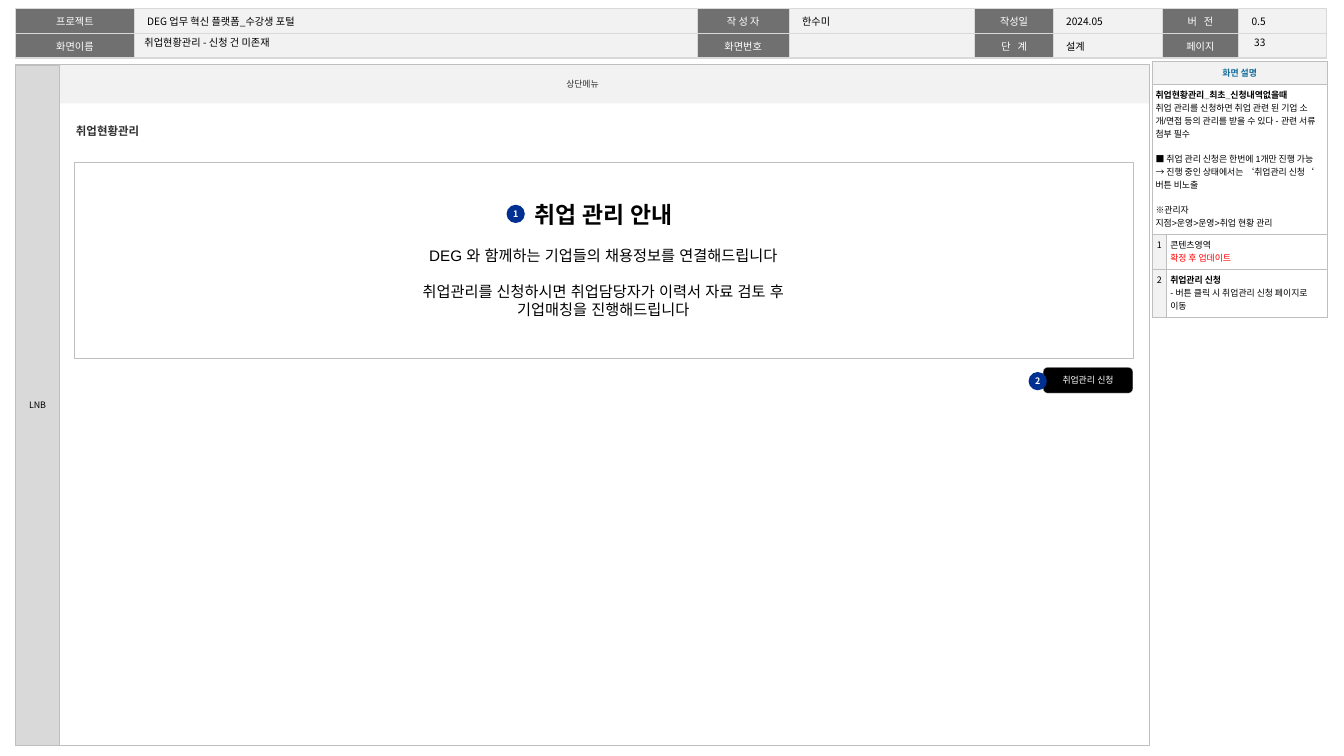
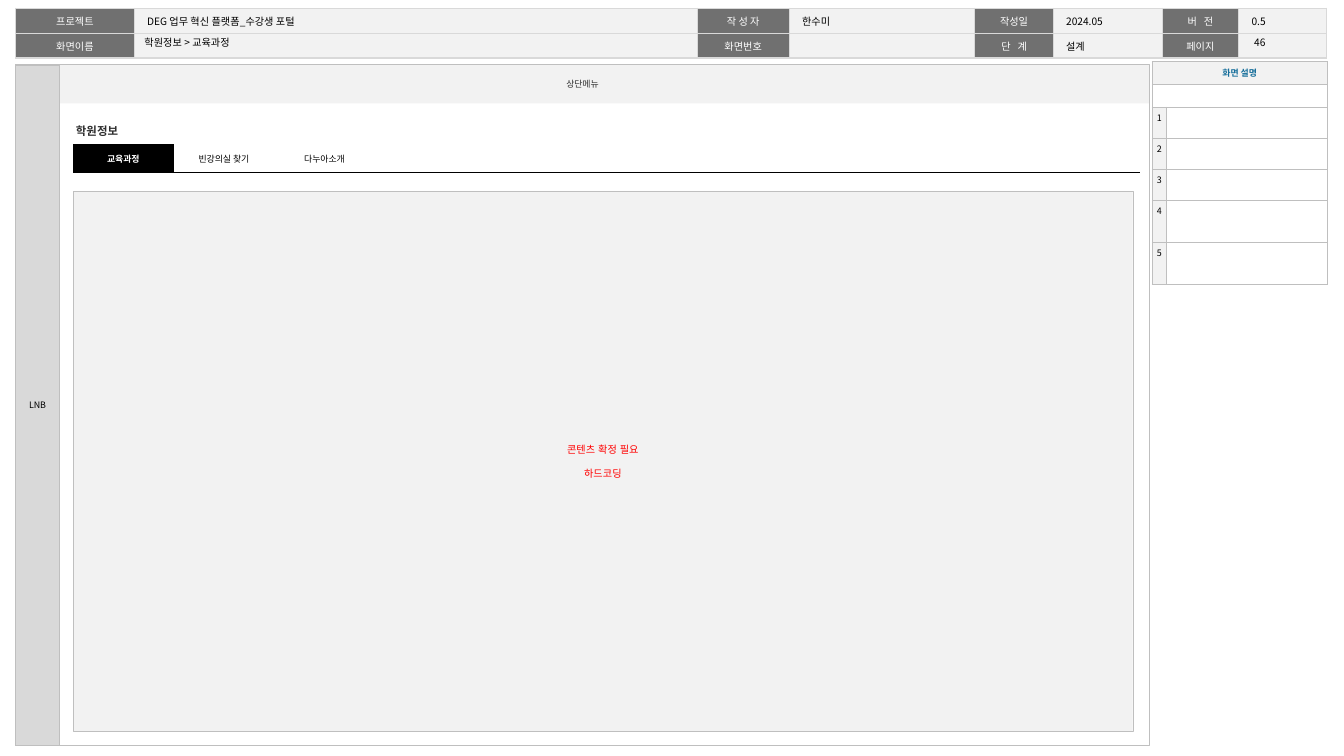
from dataclasses import dataclass, replace
from itertools import accumulate

from lxml import etree
from pptx import Presentation
from pptx import util as u
from pptx.dml.color import RGBColor
from pptx.enum import shapes, text
from pptx.oxml.ns import qn

SLIDE_WIDTH, SLIDE_HEIGHT = 14.7, 8.27
SANS, CJK = "Arial", "Noto Sans CJK KR"
CENTER, LEFT = text.PP_ALIGN.CENTER, text.PP_ALIGN.LEFT
TOP, MIDDLE = text.MSO_ANCHOR.TOP, text.MSO_ANCHOR.MIDDLE
KIND = shapes.MSO_SHAPE
COLORS = {
    "black": "000000", "white": "FFFFFF", "ink": "2E2E2E", "label": "707070",
    "panel": "F2F2F2", "side": "D9D9D9", "grid": "BFBFBF", "accent": "176F9B",
    "badge": "003192", "alert": "FF0000",
}


@dataclass(frozen=True)
class Area:
    """Left, top, width and height as percentages of the slide."""
    left: float
    top: float
    width: float
    height: float

    def emu(self) -> tuple[int, int, int, int]:
        across, down = SLIDE_WIDTH / 100, SLIDE_HEIGHT / 100
        return (u.Inches(self.left * across), u.Inches(self.top * down),
                u.Inches(self.width * across), u.Inches(self.height * down))


@dataclass(frozen=True)
class Style:
    size: float = 7
    color: str = "black"
    latin: str = CJK
    asian: str = CJK
    bold: bool = False
    align: text.PP_ALIGN = LEFT
    line: float = 1
    spread: int = 0


@dataclass(frozen=True)
class Line:
    words: str
    style: Style
    before: float = 0


@dataclass(frozen=True)
class Cell:
    lines: tuple[Line, ...] = ()
    fill: str = "white"
    anchor: text.MSO_ANCHOR = TOP
    span: int = 1


@dataclass(frozen=True)
class Grid:
    area: Area
    columns: tuple[float, ...]
    rows: tuple[float, ...]
    insets: tuple[float, float]
    border: str
    border_width: float
    sides: str = "LRTB"


@dataclass(frozen=True)
class Block:
    area: Area
    kind: KIND = KIND.RECTANGLE
    fill: str | None = None
    border: str | None = None
    border_width: float = 0.25
    lines: tuple[Line, ...] = ()


@dataclass(frozen=True)
class Screen:
    title: str
    page: str
    heading: str
    note_rows: tuple[float, ...]
    notes: tuple[tuple[Cell, ...], ...]
    blocks: tuple[Block, ...]
    tabs: tuple[str, ...] = ()


HEADER = Style(8, line=1.05)
LABEL = replace(HEADER, color="white", align=CENTER)
PLAIN = Style(8)
NOTE = Style(latin=SANS)
NOTE_BOLD = replace(NOTE, bold=True)
NUMBER = Style(align=CENTER)
NOTE_HEAD = Style(color="accent", bold=True, align=CENTER)
HEADING = Style(9, "ink", SANS, SANS, True, line=1.5)
MENU = Style(7, "ink", SANS, SANS, align=CENTER)
BUTTON = replace(MENU, color="white")
BADGE = Style(color="white", bold=True, align=CENTER)
GUIDE = Style(12, "black", SANS, SANS, align=CENTER)
GUIDE_TITLE = replace(GUIDE, size=18, bold=True)
PENDING = Style(8, "alert", SANS, SANS, align=CENTER)
TAB = Style(latin=SANS, align=CENTER)
TAB_ACTIVE = replace(TAB, color="white", bold=True)

FRAME = Area(1.16, 8.59, 84.35, 89.96)
TITLE_AREA = Area(10, 4.59, 40.2, 1.93)
PAGE_AREA = Area(92.65, 4.59, 4.9, 1.93)
HEADING_AREA = Area(5.65, 14.87, 13.47, 3.63)
HEADER_GRID = Grid(Area(1.16, 1.09, 97.55, 6.58), (1.3, 6.16, 1.01, 2.03, 0.86, 1.19, 0.84, 0.96),
                   (1, 1), (0.14, 0.05), "side", 1)
SIDE_GRID = Grid(replace(FRAME, width=3.27), (1,), (1,), (0, 0.04), "grid", 0.25)
TAB_GRID = Grid(Area(5.44, 19.11, 79.39, 3.75), (1.1,) * 10 + (0.67,), (1,), (0.04, 0.05), "black", 1, "B")
HEADER_ROWS = (
    ("프로젝트", "DEG 업무 혁신 플랫폼_수강생 포털", "작 성 자", "한수미", "작성일", "2024.05", "버 전", "0.5"),
    ("화면이름", "", "화면번호", "", "단 계", "설계", "페이지", ""),
)
SPREAD_LABELS = ("버 전", "단 계")


def rgb(name: str) -> RGBColor:
    return RGBColor.from_string(COLORS[name])


def write(frame, lines: tuple[Line, ...]) -> None:
    for index, line in enumerate(lines):
        paragraph = frame.paragraphs[0] if index == 0 else frame.add_paragraph()
        style = line.style
        paragraph.alignment = style.align
        paragraph.line_spacing = style.line
        paragraph.space_before = u.Pt(line.before)
        run = paragraph.add_run()
        run.text = line.words
        run.font.size = u.Pt(style.size)
        run.font.bold = style.bold
        run.font.color.rgb = rgb(style.color)
        run.font.name = style.latin
        properties = run._r.get_or_add_rPr()
        etree.SubElement(properties, qn("a:ea"), typeface=style.asian)
        if style.spread:
            properties.set("spc", str(style.spread))


def set_frame(frame, insets: tuple[float, float], anchor: text.MSO_ANCHOR, wrap: bool) -> None:
    frame.margin_left = frame.margin_right = u.Inches(insets[0])
    frame.margin_top = frame.margin_bottom = u.Inches(insets[1])
    frame.vertical_anchor = anchor
    frame.word_wrap = wrap
    frame.auto_size = text.MSO_AUTO_SIZE.NONE


def add_block(slide, block: Block) -> None:
    shape = slide.shapes.add_shape(block.kind, *block.area.emu())
    shape.shadow.inherit = False
    if block.fill:
        shape.fill.solid()
        shape.fill.fore_color.rgb = rgb(block.fill)
    else:
        shape.fill.background()
    if block.border:
        shape.line.color.rgb = rgb(block.border)
        shape.line.width = u.Pt(block.border_width)
    else:
        shape.line.fill.background()
    set_frame(shape.text_frame, (0, 0), MIDDLE, False)
    write(shape.text_frame, block.lines)


def add_text(slide, area: Area, line: Line, insets: tuple[float, float], anchor: text.MSO_ANCHOR) -> None:
    box = slide.shapes.add_textbox(*area.emu())
    set_frame(box.text_frame, insets, anchor, True)
    write(box.text_frame, (line,))


def set_borders(cell, grid: Grid) -> None:
    properties = cell._tc.get_or_add_tcPr()
    for side in "LRTB":
        edge = etree.SubElement(properties, qn(f"a:ln{side}"), w=str(u.Pt(grid.border_width)))
        if side in grid.sides:
            fill = etree.SubElement(edge, qn("a:solidFill"))
            etree.SubElement(fill, qn("a:srgbClr"), val=COLORS[grid.border])
        else:
            etree.SubElement(edge, qn("a:noFill"))


def split(total: int, weights: tuple[float, ...]) -> list[int]:
    stops = [0] + [round(total * part / sum(weights)) for part in accumulate(weights)]
    return [end - start for start, end in zip(stops, stops[1:])]


def add_grid(slide, grid: Grid, rows: tuple[tuple[Cell, ...], ...]) -> None:
    left, top, width, height = grid.area.emu()
    table = slide.shapes.add_table(len(grid.rows), len(grid.columns), left, top, width, height).table
    table.first_row = table.horz_banding = False
    for column, size in zip(table.columns, split(width, grid.columns)):
        column.width = size
    for row, size in zip(table.rows, split(height, grid.rows)):
        row.height = size
    for row_index, row in enumerate(rows):
        for column_index in range(len(grid.columns)):
            content = row[column_index] if column_index < len(row) else Cell(fill=row[-1].fill)
            cell = table.cell(row_index, column_index)
            set_borders(cell, grid)
            cell.fill.solid()
            cell.fill.fore_color.rgb = rgb(content.fill)
            cell.margin_left = cell.margin_right = u.Inches(grid.insets[0])
            cell.margin_top = cell.margin_bottom = u.Inches(grid.insets[1])
            cell.vertical_anchor = content.anchor
            write(cell.text_frame, content.lines)
            if not content.lines:
                etree.SubElement(cell.text_frame.paragraphs[0]._p, qn("a:endParaRPr"), sz="700")
            if content.span > 1:
                cell.merge(table.cell(row_index, column_index + content.span - 1))


def header_cell(words: str, is_label: bool) -> Cell:
    style = LABEL if is_label else HEADER
    if words in SPREAD_LABELS:
        style = replace(style, spread=180)
    return Cell((Line(words, style),) if words else (), "label" if is_label else "panel")


def note_row(number: int, *lines: Line) -> tuple[Cell, Cell]:
    return Cell((Line(str(number), NUMBER),), "panel"), Cell(lines, anchor=MIDDLE)


def badge(number: int, left: float, top: float) -> Block:
    return Block(Area(left, top, 1.36, 2.42), KIND.OVAL, "badge", lines=(Line(str(number), BADGE),))


def add_screen(presentation, screen: Screen) -> None:
    slide = presentation.slides.add_slide(presentation.slide_layouts[5])
    add_grid(slide, HEADER_GRID, tuple(
        tuple(header_cell(words, index % 2 == 0) for index, words in enumerate(row)) for row in HEADER_ROWS))
    add_block(slide, Block(replace(FRAME, height=5.08), fill="panel", lines=(Line("상단메뉴", MENU),)))
    add_grid(slide, SIDE_GRID, ((Cell((Line("LNB", NUMBER),), "side", MIDDLE),),))
    add_block(slide, Block(FRAME, border="grid", border_width=0.75))
    title = slide.shapes.title
    title.left, title.top, title.width, title.height = TITLE_AREA.emu()
    set_frame(title.text_frame, (0.11, 0.05), MIDDLE, True)
    write(title.text_frame, (Line(screen.title, PLAIN),))
    title.element.getparent().append(title.element)
    add_text(slide, PAGE_AREA, Line(screen.page, PLAIN), (0.1, 0.05), MIDDLE)
    note_area = Area(85.71, 8.1, 13.06, sum(screen.note_rows) / SLIDE_HEIGHT * 100)
    note_head = (Cell((Line("화면 설명", NOTE_HEAD),), "panel", MIDDLE, 2),)
    add_grid(slide, Grid(note_area, (0.16, 1.75), screen.note_rows, (0.04, 0.05), "grid", 0.25),
             (note_head, *screen.notes))
    for block in screen.blocks:
        add_block(slide, block)
    add_text(slide, HEADING_AREA, Line(screen.heading, HEADING), (0, 0.05), TOP)
    if screen.tabs:
        active, *others = screen.tabs
        cells = [Cell((Line(active, TAB_ACTIVE),), "black", MIDDLE)]
        cells += [Cell((Line(words, TAB),), anchor=MIDDLE) for words in others]
        add_grid(slide, TAB_GRID, (tuple(cells),))


SCREENS = (
    Screen(
        "취업현황관리 - 신청 건 미존재", "33", "취업현황관리", (0.25, 1.64, 0.38, 0.53),
        ((Cell((
            Line("취업현황관리_최초_신청내역없을때", NOTE_BOLD),
            Line("취업 관리를 신청하면 취업 관련 된 기업 소개/면접 등의 관리를 받을 수 있다 - 관련 서류 첨부 필수", NOTE),
            Line("■ 취업 관리 신청은 한번에 1개만 진행 가능 → 진행 중인 상태에서는 ‘취업관리 신청‘ 버튼 비노출", NOTE, 10),
            Line("※관리자", NOTE, 10),
            Line("지점>운영>운영>취업 현황 관리", NOTE)), span=2),),
         note_row(1, Line("콘텐츠영역", NOTE), Line("확정 후 업데이트", replace(NOTE, color="alert"))),
         note_row(2, Line("취업관리 신청", NOTE_BOLD), Line("- 버튼 클릭 시 취업관리 신청 페이지로 이동", NOTE))),
        (Block(Area(77.62, 48.61, 6.67, 3.39), KIND.ROUNDED_RECTANGLE, "black", "grid",
               lines=(Line("취업관리 신청", BUTTON),)),
         Block(Area(5.51, 21.4, 78.78, 26), border="grid", lines=(
             Line("취업 관리 안내", GUIDE_TITLE),
             Line("DEG 와 함께하는 기업들의 채용정보를 연결해드립니다", GUIDE, 14),
             Line("취업관리를 신청하시면 취업담당자가 이력서 자료 검토 후", GUIDE, 14),
             Line("기업매칭을 진행해드립니다", GUIDE))),
         badge(2, 76.53, 49.21), badge(1, 37.69, 27.09))),
    Screen(
        "학원정보 > 교육과정", "46", "학원정보", (0.25, 0.25, 0.34, 0.34, 0.34, 0.46, 0.46),
        ((Cell(span=2),), *(note_row(number) for number in range(1, 6))),
        (Block(Area(5.44, 25.27, 78.84, 71.46), fill="panel", border="grid", lines=(
            Line("콘텐츠 확정 필요", PENDING), Line("하드코딩", PENDING, 9))),),
        ("교육과정", "빈강의실 찾기", "다누아소개")),
)


def main() -> None:
    presentation = Presentation()
    presentation.slide_width = u.Inches(SLIDE_WIDTH)
    presentation.slide_height = u.Inches(SLIDE_HEIGHT)
    for screen in SCREENS:
        add_screen(presentation, screen)
    presentation.save("out.pptx")


if __name__ == "__main__":
    main()
